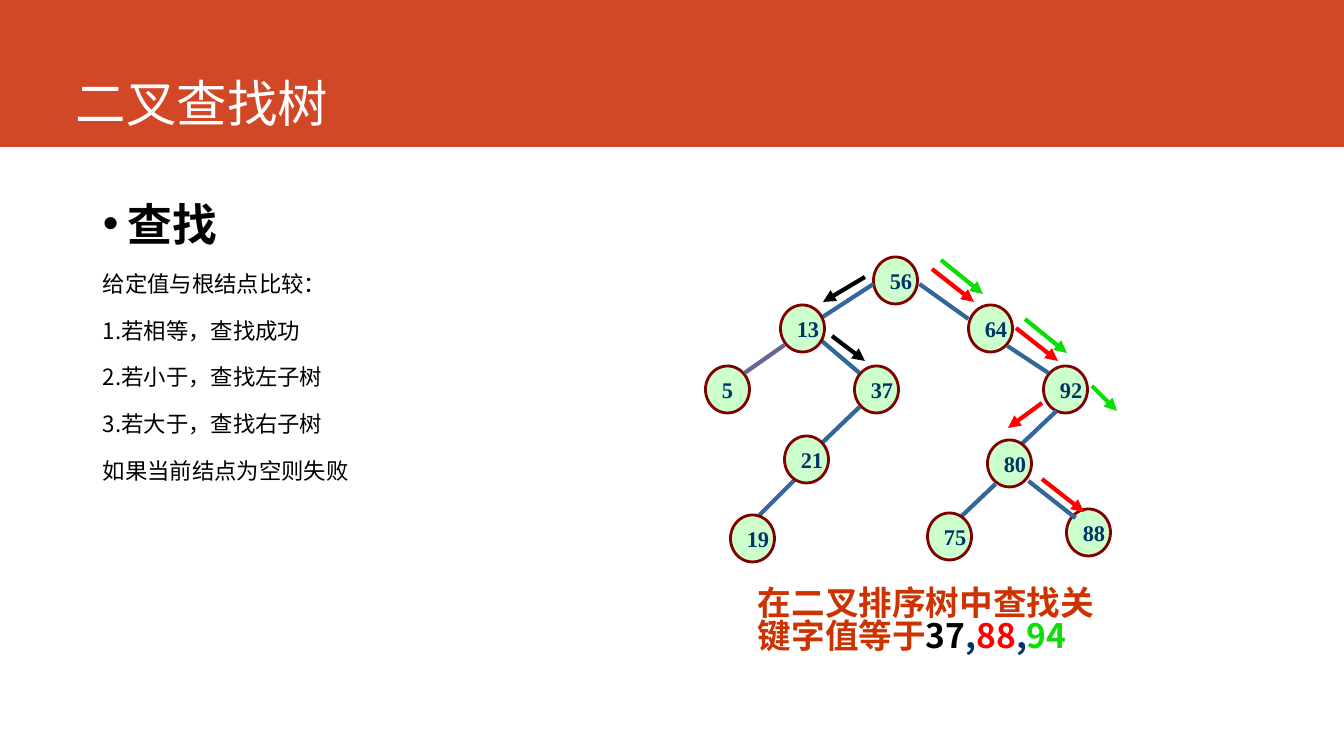
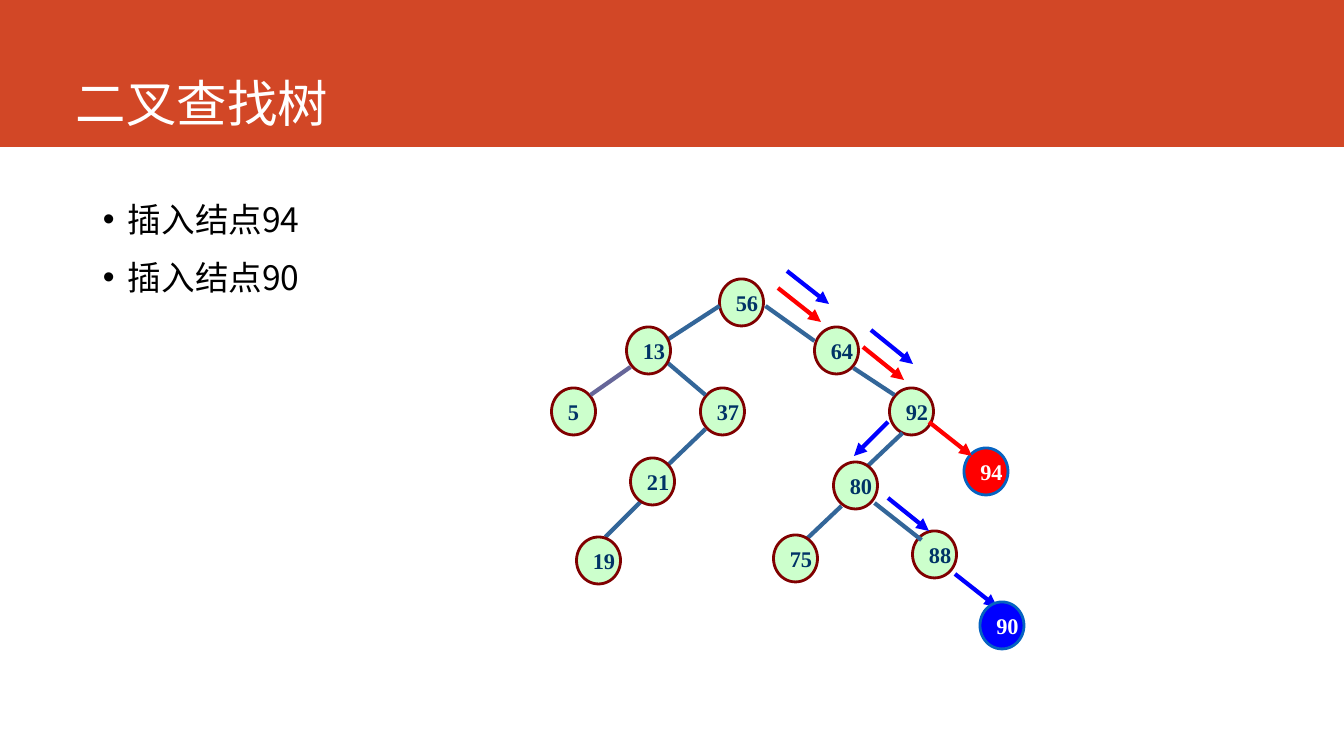
"""Builds two slides on searching and inserting in a binary search tree."""
from lxml import etree
from pptx import Presentation
from pptx.dml.color import RGBColor
from pptx.enum.shapes import MSO_CONNECTOR, MSO_SHAPE
from pptx.enum.text import MSO_ANCHOR, PP_ALIGN
from pptx.oxml.ns import qn
from pptx.util import Emu, Pt

SCALE = 914400 / 100.8
RECT, OVAL = MSO_SHAPE.RECTANGLE, MSO_SHAPE.OVAL
STRAIGHT = MSO_CONNECTOR.STRAIGHT
TOP, MIDDLE, BOTTOM = MSO_ANCHOR.TOP, MSO_ANCHOR.MIDDLE, MSO_ANCHOR.BOTTOM
LEFT = PP_ALIGN.LEFT
SANS, SERIF = "Noto Sans CJK SC", "Times New Roman"
COLORS = {
    "band": "D24726", "white": "FFFFFF", "black": "000000",
    "mint": "CCFFCC", "maroon": "800000", "navy": "003366",
    "edge": "336699", "mauve": "666699", "rim": "0563C1",
    "rust": "CC3300", "red": "FF0000", "green": "0CDD07", "blue": "0000FF",
}

NODE_W, NODE_H = 44, 47
UPPER = {"56": (168, 0), "64": (263, 48), "5": (0, 109),
         "92": (338, 109), "37": (149, 109), "88": (361, 252)}
LOWER = {"19": (25, 258), "80": (282, 183), "21": (79, 179),
         "13": (75, 48), "75": (222, 256)}
EDGES = [
    (168, 27, 114, 62), (214, 27, 263, 62), (114, 82, 154, 116),
    (154, 150, 105, 197), (302, 89, 343, 116), (351, 154, 312, 191),
    (323, 224, 370, 261), (94, 218, 54, 258), (290, 227, 252, 263),
]
LEAF_EDGE = (79, 88, 39, 116)

SEARCH = {
    "black": [(865, 277, 823, 302), (832, 336, 865, 361)],
    "red": [(932, 269, 974, 302), (1016, 328, 1058, 361),
            (1042, 403, 1008, 428), (1042, 479, 1084, 512)],
    "green": [(941, 260, 983, 294), (1025, 319, 1067, 353),
              (1092, 386, 1117, 411)],
}
INSERT = {
    "red": [(778, 288, 821, 322), (863, 347, 904, 380),
            (929, 422, 972, 456)],
    "blue": [(787, 271, 829, 304), (871, 330, 913, 364),
             (888, 422, 854, 456), (888, 498, 929, 531),
             (955, 574, 997, 607)],
}
STEPS = ["给定值与根结点比较：", "1.若相等，查找成功", "2.若小于，查找左子树",
         "3.若大于，查找右子树", "如果当前结点为空则失败"]


def px(*sizes):
    """Turn pixels into EMU."""
    return [Emu(round(size * SCALE)) for size in sizes]


def color(name):
    """Look up a colour."""
    return RGBColor.from_string(COLORS[name])


def add_run(para, text, size, tint, bold=False, font=SANS):
    """Add one run of text."""
    run = para.add_run()
    run.text = text
    run.font.size = Pt(size)
    run.font.bold = bold
    run.font.name = font
    run.font.color.rgb = color(tint)
    east = etree.SubElement(run.font._element, qn("a:ea"))
    east.set("typeface", font)


def add_box(slide, box, anchor=TOP):
    """Add an empty text box that wraps."""
    frame = slide.shapes.add_textbox(*px(*box)).text_frame
    frame.word_wrap = True
    frame.vertical_anchor = anchor
    return frame


def add_bullet(para):
    """Give a paragraph a round bullet with a hanging indent."""
    props = para._p.get_or_add_pPr()
    inset, = px(25)
    props.set("marL", str(inset))
    props.set("indent", str(-inset))
    etree.SubElement(props, qn("a:buFont")).set("typeface", "Arial")
    etree.SubElement(props, qn("a:buChar")).set("char", "•")


def add_body(slide, width, lines):
    """Add body lines of text, size, bold and bullet."""
    frame = add_box(slide, (93, 202, width, 480))
    for i, (text, size, bold, bullet) in enumerate(lines):
        para = frame.add_paragraph() if i else frame.paragraphs[0]
        para.line_spacing = 0.8
        para.space_after = Pt(18)
        if bullet:
            add_bullet(para)
        add_run(para, text, size, "black", bold)


def add_node(shapes, label, x, y, fill="mint", rim="maroon", ink="navy"):
    """Add a tree node with its key."""
    node = shapes.add_shape(OVAL, *px(x, y, NODE_W, NODE_H))
    node.shadow.inherit = False
    node.fill.solid()
    node.fill.fore_color.rgb = color(fill)
    node.line.color.rgb = color(rim)
    node.line.width = Pt(2)
    frame = node.text_frame
    frame.word_wrap = False
    frame.vertical_anchor = MIDDLE
    para = frame.paragraphs[0]
    para.alignment = LEFT
    add_run(para, label, 16, ink, True, SERIF)


def add_line(shapes, ends, tint, arrow=False):
    """Add a straight line, with an arrowhead if asked."""
    line = shapes.add_connector(STRAIGHT, *px(*ends))
    line.line.color.rgb = color(tint)
    line.line.width = Pt(3)
    if arrow:
        head = etree.SubElement(line.line._get_or_add_ln(), qn("a:tailEnd"))
        head.set("type", "triangle")
    etree.SubElement(line._element.spPr, qn("a:effectLst"))


def add_tree(slide, left, top):
    """Add the grouped tree at a given corner."""
    shapes = slide.shapes.add_group_shape().shapes

    def add_keys(nodes):
        """Add a set of nodes."""
        for label, (x, y) in nodes.items():
            add_node(shapes, label, left + x, top + y)

    def add_edge(edge, tint):
        """Add one edge."""
        x1, y1, x2, y2 = edge
        add_line(shapes, (left + x1, top + y1, left + x2, top + y2), tint)

    add_keys(UPPER)
    add_edge(LEAF_EDGE, "mauve")
    for edge in EDGES:
        add_edge(edge, "edge")
    add_keys(LOWER)


def add_paths(slide, paths):
    """Add the arrows of each path in its colour."""
    for tint, arrows in paths.items():
        for ends in arrows:
            add_line(slide.shapes, ends, tint, True)


def add_slide(deck):
    """Add a slide with the title band."""
    slide = deck.slides.add_slide(deck.slide_layouts[6])
    band = slide.shapes.add_shape(RECT, *px(0, 0, 1344, 147))
    band.shadow.inherit = False
    band.fill.solid()
    band.fill.fore_color.rgb = color("band")
    band.line.fill.background()
    frame = add_box(slide, (66, 0, 1185, 133), BOTTOM)
    frame.margin_bottom = 0
    add_run(frame.paragraphs[0], "二叉查找树", 36, "white")
    return slide


def add_goal(slide):
    """Add the caption with the keys to find."""
    para = add_box(slide, (748, 584, 386, 88)).paragraphs[0]
    para.line_spacing = 0.82
    for text, tint in [("在二叉排序树中查找关键字值等于", "rust"),
                       ("37", "black"), (",", "navy"), ("88", "red"),
                       (",", "navy"), ("94", "green")]:
        add_run(para, text, 24, tint, True)


def main():
    """Build and save the slides."""
    deck = Presentation()
    deck.slide_width, deck.slide_height = px(1344, 756)

    search = add_slide(deck)
    add_body(search, 494, [("查找", 32, True, True)]
             + [(step, 16, False, False) for step in STEPS])
    add_tree(search, 705.5, 257)
    add_goal(search)
    add_paths(search, SEARCH)

    insert = add_slide(deck)
    add_body(insert, 460, [(f"插入结点{key}", 24, False, True)
                           for key in (94, 90)])
    add_tree(insert, 551.5, 279)
    add_node(insert.shapes, "94", 964, 448, "red", "rim", "white")
    add_paths(insert, INSERT)
    add_node(insert.shapes, "90", 980, 602, "blue", "rim", "white")

    deck.save("out.pptx")


main()
